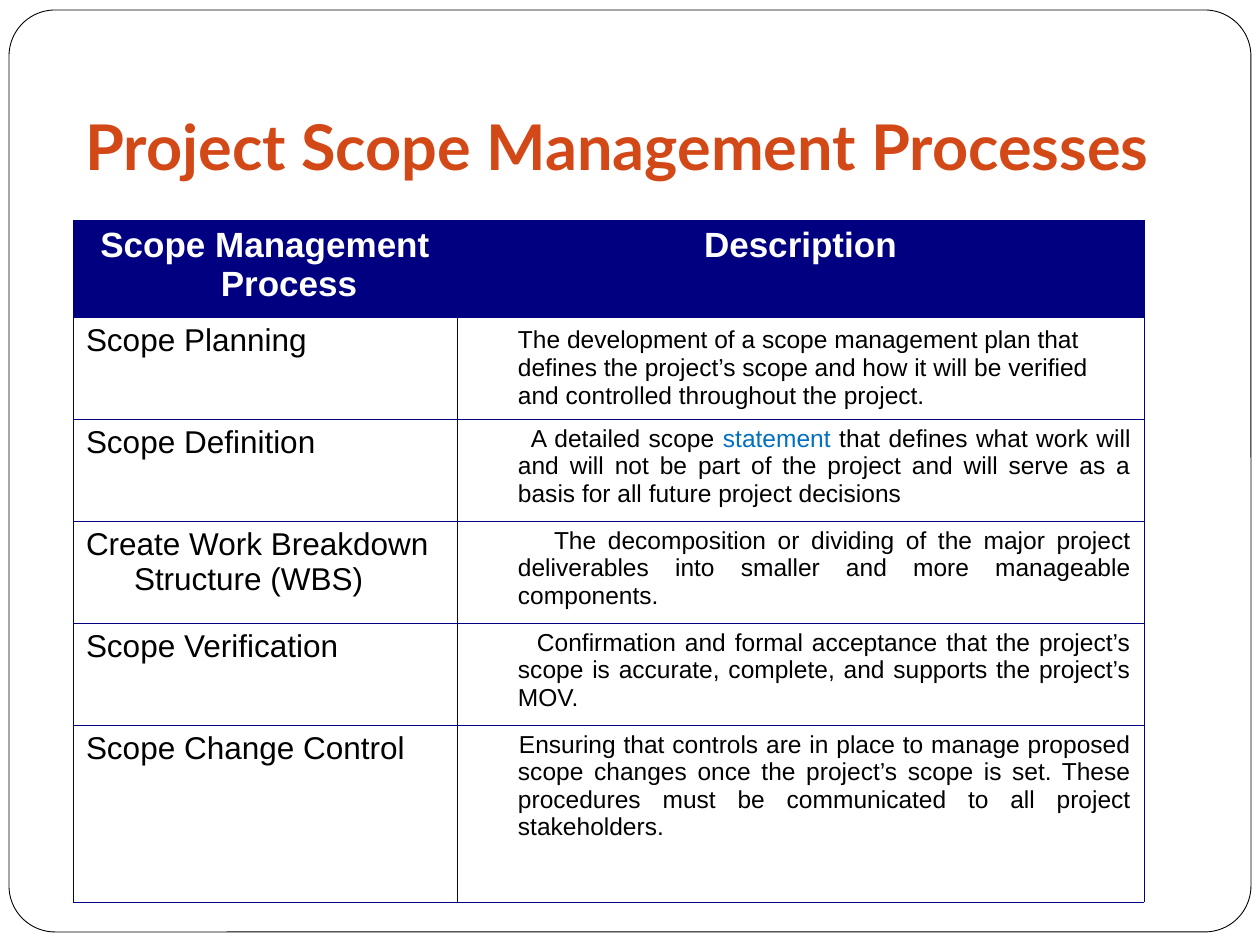
from dataclasses import dataclass

from lxml import etree
from pptx import Presentation
from pptx.dml.color import RGBColor
from pptx.enum.shapes import MSO_SHAPE
from pptx.enum.text import MSO_ANCHOR, PP_ALIGN
from pptx.oxml.ns import qn
from pptx.slide import Slide
from pptx.table import _Cell
from pptx.util import Emu, Pt

PX_PER_INCH = 126
ROUNDED = MSO_SHAPE.ROUNDED_RECTANGLE
TOP, MIDDLE, BOTTOM = MSO_ANCHOR.TOP, MSO_ANCHOR.MIDDLE, MSO_ANCHOR.BOTTOM
LEFT, CENTER, JUSTIFY = PP_ALIGN.LEFT, PP_ALIGN.CENTER, PP_ALIGN.JUSTIFY

BLACK = RGBColor(0x00, 0x00, 0x00)
WHITE = RGBColor(0xFF, 0xFF, 0xFF)
NAVY = RGBColor(0x00, 0x00, 0x80)
BLUE = RGBColor(0x00, 0x70, 0xC0)
ORANGE = RGBColor(0xD3, 0x48, 0x17)

HANGING = 48
COLUMN_WIDTHS = (384, 687)
ROW_HEIGHTS = (97, 102, 102, 102, 102, 177)


@dataclass(frozen=True)
class Span:
    text: str
    color: RGBColor = BLACK


@dataclass(frozen=True)
class CellText:
    spans: tuple[Span, ...]
    size: int
    align: PP_ALIGN = LEFT
    anchor: MSO_ANCHOR = TOP
    first_line: int = -HANGING
    bold: bool = False


@dataclass(frozen=True)
class Process:
    name: str
    description: tuple[Span, ...]
    first_line: int
    align: PP_ALIGN = JUSTIFY
    anchor: MSO_ANCHOR = TOP


HEADINGS = ("Scope Management Process", "Description")
PROCESSES = (
    Process("Scope Planning", (Span(
        "The development of a scope management plan that defines the project’s scope "
        "and how it will be verified and controlled throughout the project."),),
        0, LEFT, MIDDLE),
    Process("Scope Definition", (
        Span("A detailed scope "),
        Span("statement", BLUE),
        Span(" that defines what work will and will not be part of the project "
             "and will serve as a basis for all future project decisions")), 13),
    Process("Create Work Breakdown Structure (WBS)", (Span(
        "The decomposition or dividing of the major project deliverables "
        "into smaller and more manageable components."),), 36),
    Process("Scope Verification", (Span(
        "Confirmation and formal acceptance that the project’s scope is accurate, "
        "complete, and supports the project’s MOV."),), 19),
    Process("Scope Change Control", (Span(
        "Ensuring that controls are in place to manage proposed scope changes once "
        "the project’s scope is set. These procedures must be communicated to all "
        "project stakeholders."),), 1),
)


def px(length: int) -> Emu:
    return Emu(round(length * 914400 / PX_PER_INCH))


def add_frame(slide: Slide) -> None:
    frame = slide.shapes.add_shape(ROUNDED, px(9), px(10), px(1242), px(922))
    frame.adjustments[0] = 0.05
    frame.shadow.inherit = False
    frame.fill.solid()
    frame.fill.fore_color.rgb = WHITE
    frame.line.color.rgb = BLACK
    frame.line.width = Pt(0.5)


def add_title(slide: Slide, title: str) -> None:
    box = slide.shapes.add_textbox(px(73), px(38), px(1124), px(158))
    text_frame = box.text_frame
    text_frame.word_wrap = True
    text_frame.vertical_anchor = BOTTOM
    text_frame.margin_bottom = px(13)
    run = text_frame.paragraphs[0].add_run()
    run.text = title
    run.font.name = "Lato"
    run.font.size = Pt(36)
    run.font.bold = True
    run.font.color.rgb = ORANGE


def set_borders(cell: _Cell) -> None:
    properties = cell._tc.get_or_add_tcPr()
    for position, side in enumerate(("lnL", "lnR", "lnT", "lnB")):
        border = etree.Element(qn(f"a:{side}"), w=str(Pt(0.45)))
        fill = etree.SubElement(border, qn("a:solidFill"))
        etree.SubElement(fill, qn("a:srgbClr"), val=str(NAVY))
        properties.insert(position, border)


def fill_cell(cell: _Cell, content: CellText) -> None:
    cell.margin_left = cell.margin_right = px(13)
    cell.margin_top = cell.margin_bottom = px(6)
    cell.vertical_anchor = content.anchor
    paragraph = cell.text_frame.paragraphs[0]
    paragraph.alignment = content.align
    indents = paragraph._p.get_or_add_pPr()
    indents.set("marL", str(px(HANGING)))
    indents.set("indent", str(px(content.first_line)))
    for span in content.spans:
        run = paragraph.add_run()
        run.text = span.text
        run.font.name = "Arial"
        run.font.size = Pt(content.size)
        run.font.bold = content.bold
        run.font.color.rgb = span.color
    set_borders(cell)


def add_process_table(slide: Slide) -> None:
    table = slide.shapes.add_table(
        len(ROW_HEIGHTS), len(COLUMN_WIDTHS), px(73), px(220),
        px(sum(COLUMN_WIDTHS)), px(sum(ROW_HEIGHTS))).table
    table.first_row = table.horz_banding = False
    for column, width in zip(table.columns, COLUMN_WIDTHS):
        column.width = px(width)
    for row, height in zip(table.rows, ROW_HEIGHTS):
        row.height = px(height)

    # Header row
    for column_index, heading in enumerate(HEADINGS):
        cell = table.cell(0, column_index)
        cell.fill.solid()
        cell.fill.fore_color.rgb = NAVY
        fill_cell(cell, CellText((Span(heading, WHITE),), 20, CENTER, bold=True))

    # One row per process
    for row_index, process in enumerate(PROCESSES, start=1):
        contents = (
            CellText((Span(process.name),), 18),
            CellText(process.description, 14, process.align, process.anchor,
                     process.first_line),
        )
        for column_index, content in enumerate(contents):
            cell = table.cell(row_index, column_index)
            cell.fill.background()
            fill_cell(cell, content)


def main() -> None:
    presentation = Presentation()
    presentation.slide_width = px(1260)
    presentation.slide_height = px(945)
    slide = presentation.slides.add_slide(presentation.slide_layouts[6])
    add_frame(slide)
    add_process_table(slide)
    add_title(slide, "Project Scope Management Processes")
    presentation.save("out.pptx")


if __name__ == "__main__":
    main()
